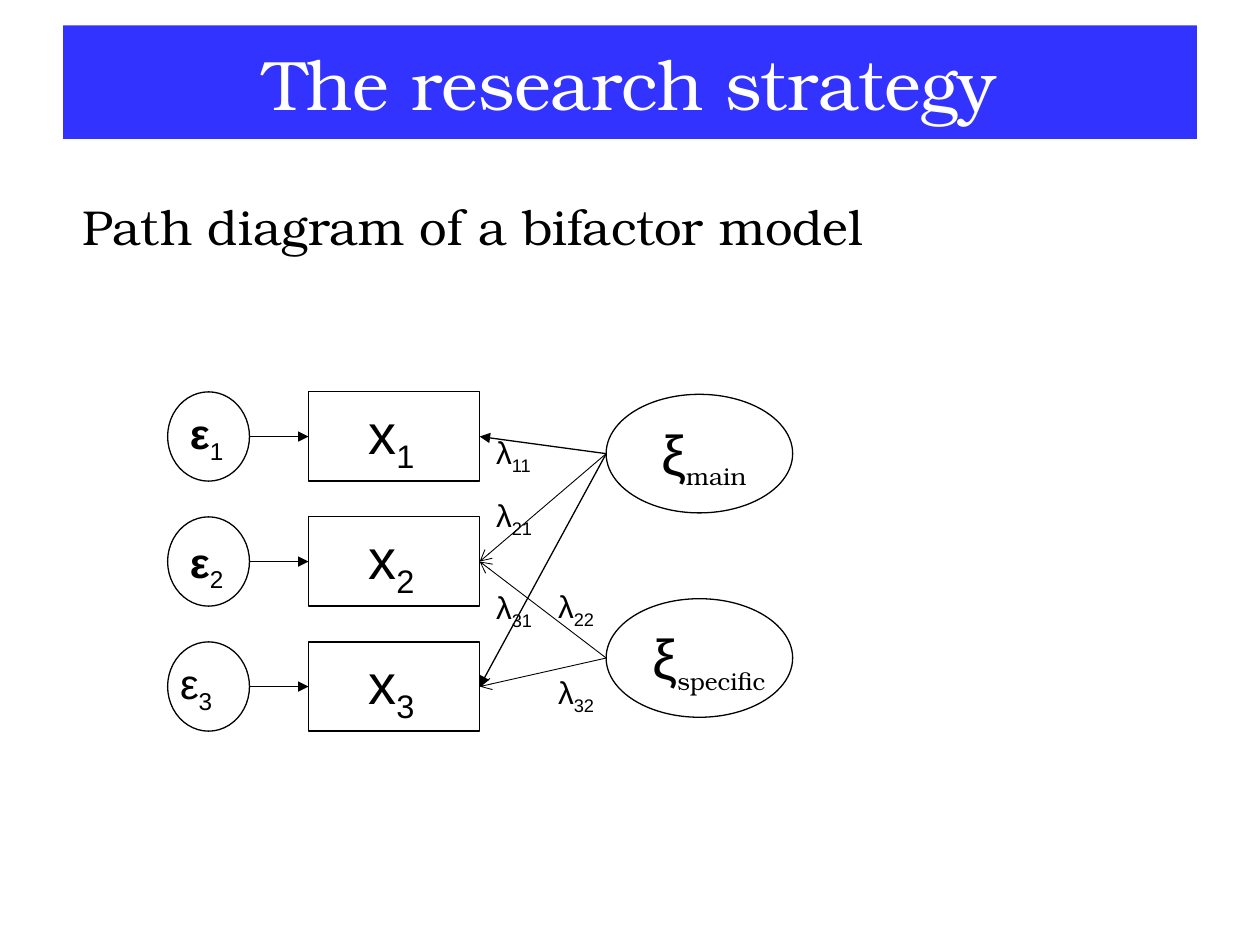
"""Build a slide with the path diagram of a bifactor model."""
import pptx
import pptx.dml.color
import pptx.enum.shapes
import pptx.enum.text
import pptx.oxml.ns
import pptx.util
from lxml import etree

Cm = pptx.util.Cm
Pt = pptx.util.Pt
SHAPES = pptx.enum.shapes.MSO_SHAPE
ALIGN = pptx.enum.text.PP_ALIGN
qn = pptx.oxml.ns.qn

SANS, SERIF = "Arial", "TeX Gyre Bonum"
BLACK, WHITE, BLUE = "000000", "FFFFFF", "3333FF"

TITLE = "The research strategy"
SUBTITLE = "Path diagram of a bifactor model"
INDICATORS = [
    {"index": "1", "bold": True, "error_at": (3.58, 8.1)},
    {"index": "2", "bold": True, "error_at": (3.58, 10.69)},
    {"index": "3", "bold": False, "error_at": (3.38, 13.13)},
]
FACTORS = [
    {"name": "main", "top": 7.95, "text_width": 3.38,
     "paths": [(0, "triangle", 0.75), (1, "arrow", 0.5), (2, "triangle", 0.75)]},
    {"name": "specific", "top": 12.07, "text_width": 3.58,
     "paths": [(1, "arrow", 0.5), (2, "arrow", 0.5)]},
]
LOADINGS = [
    {"box": (9.75, 8.61, 1.75, 4.29), "labels": [("11", 0), ("21", 11.5), ("31", 28)]},
    {"box": (11, 11.71, 1.5, 1.12), "labels": [("22", 0)]},
    {"box": (11, 13.44, 1.5, 1.12), "labels": [("32", 0)]},
]

ROW_TOP, ROW_PITCH, ROW_HEIGHT = 7.9, 2.52, 1.8
ERROR_LEFT, ERROR_WIDTH = 3.38, 1.65
BOX_LEFT, BOX_WIDTH = 6.22, 3.45
FACTOR_LEFT, FACTOR_WIDTH, FACTOR_HEIGHT = 12.22, 3.76, 2.39


def color(value):
    return pptx.dml.color.RGBColor.from_string(value)


def format_font(font, size, name=SANS, fill=BLACK, bold=False):
    for key, value in {"size": Pt(size), "name": name, "bold": bold}.items():
        setattr(font, key, value)
    font.color.rgb = color(fill)


def add_outline(slide, kind, *box):
    shape = slide.shapes.add_shape(kind, *map(Cm, box))
    shape.shadow.inherit = False
    shape.fill.solid()
    shape.fill.fore_color.rgb = color(WHITE)
    shape.line.color.rgb = color(BLACK)
    shape.line.width = Pt(0.75)
    return shape


def add_text_frame(slide, *box):
    frame = slide.shapes.add_textbox(*map(Cm, box)).text_frame
    frame.word_wrap = True
    return frame


def write_symbol(paragraph, symbol, subscript, size, bold=False,
                 subscript_size=None, subscript_font=SANS, align=ALIGN.LEFT):
    paragraph.alignment = align
    base = paragraph.add_run()
    base.text = symbol
    format_font(base.font, size, bold=bold)
    lowered = paragraph.add_run()
    lowered.text = subscript
    format_font(lowered.font, subscript_size or size, subscript_font)
    lowered._r.get_or_add_rPr().set("baseline", "-25000")


def add_arrow(slide, start, target, side, head="triangle", width=0.75):
    connector = slide.shapes.add_connector(
        pptx.enum.shapes.MSO_CONNECTOR.STRAIGHT, *map(Cm, start), *map(Cm, start))
    connector.end_connect(target, side)
    connector.line.color.rgb = color(BLACK)
    connector.line.width = Pt(width)
    properties = connector._element.spPr
    etree.SubElement(properties.find(qn("a:ln")), qn("a:tailEnd"), type=head)
    etree.SubElement(properties, qn("a:effectLst"))


def fill_placeholder(shape, text, box, size, fill, **formats):
    for key, value in zip(("left", "top", "width", "height"), box):
        setattr(shape, key, Cm(value))
    frame = shape.text_frame
    frame.text = text
    frame.auto_size = pptx.enum.text.MSO_AUTO_SIZE.NONE
    paragraph = frame.paragraphs[0]
    for key, value in formats.items():
        setattr(paragraph, key, value)
    format_font(paragraph.runs[0].font, size, SERIF, fill)
    return paragraph


def add_headings(slide):
    title = slide.shapes.title
    fill_placeholder(title, TITLE, (1.27, 0.51, 22.86, 2.29), 40, WHITE,
                     alignment=ALIGN.CENTER)
    title.text_frame.vertical_anchor = pptx.enum.text.MSO_ANCHOR.MIDDLE
    title.fill.solid()
    title.fill.fore_color.rgb = color(BLUE)
    paragraph = fill_placeholder(
        slide.placeholders[1], SUBTITLE, (1.4, 3.96, 23.06, 12.57), 28, BLACK,
        line_spacing=0.9, space_before=Pt(0))
    properties = paragraph._p.get_or_add_pPr()
    properties.set("marL", "0")
    properties.set("indent", "0")
    etree.SubElement(properties, qn("a:buNone"))


def add_indicator(slide, row, indicator):
    top = ROW_TOP + row * ROW_PITCH
    add_outline(slide, SHAPES.OVAL, ERROR_LEFT, top, ERROR_WIDTH, ROW_HEIGHT)
    box = add_outline(slide, SHAPES.RECTANGLE, BOX_LEFT, top, BOX_WIDTH, ROW_HEIGHT)
    error = add_text_frame(slide, *indicator["error_at"], 1.5, 1.42)
    write_symbol(error.paragraphs[0], "ε", indicator["index"], 24, indicator["bold"])
    label = add_text_frame(slide, 7.14, top, 1.5, ROW_HEIGHT)
    write_symbol(label.paragraphs[0], "x", indicator["index"], 32, align=ALIGN.CENTER)
    add_arrow(slide, (ERROR_LEFT + ERROR_WIDTH, top + ROW_HEIGHT / 2), box, 1)
    return box


def add_factor(slide, factor, boxes):
    top = factor["top"]
    add_outline(slide, SHAPES.OVAL, FACTOR_LEFT, top, FACTOR_WIDTH, FACTOR_HEIGHT)
    label = add_text_frame(slide, 12.5, top + 0.38, factor["text_width"], 1.7)
    write_symbol(label.paragraphs[0], "ξ", factor["name"], 32, subscript_size=24,
                 subscript_font=SERIF, align=ALIGN.CENTER)
    for row, head, width in factor["paths"]:
        add_arrow(slide, (FACTOR_LEFT, top + FACTOR_HEIGHT / 2), boxes[row], 3, head, width)


def add_loadings(slide, loading):
    frame = add_text_frame(slide, *loading["box"])
    for number, (index, gap) in enumerate(loading["labels"]):
        paragraph = frame.add_paragraph() if number else frame.paragraphs[0]
        paragraph.space_before = Pt(gap)
        write_symbol(paragraph, "λ", index, 18)


def main():
    presentation = pptx.Presentation()
    presentation.slide_width, presentation.slide_height = Cm(25.4), Cm(19.05)
    slide = presentation.slides.add_slide(presentation.slide_layouts[1])
    add_headings(slide)
    boxes = [add_indicator(slide, row, item) for row, item in enumerate(INDICATORS)]
    for factor in FACTORS:
        add_factor(slide, factor, boxes)
    for loading in LOADINGS:
        add_loadings(slide, loading)
    presentation.save("out.pptx")


if __name__ == "__main__":
    main()
